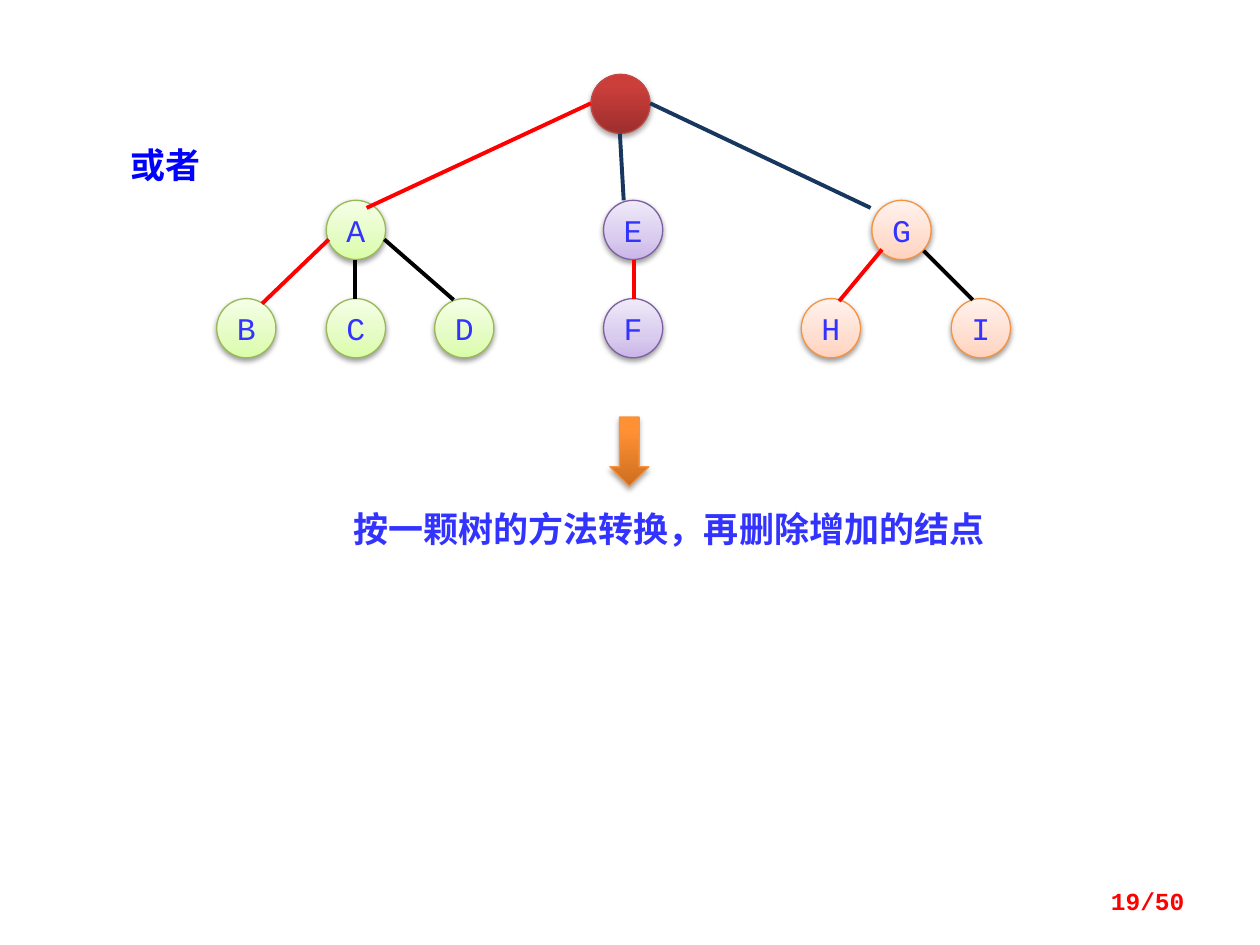
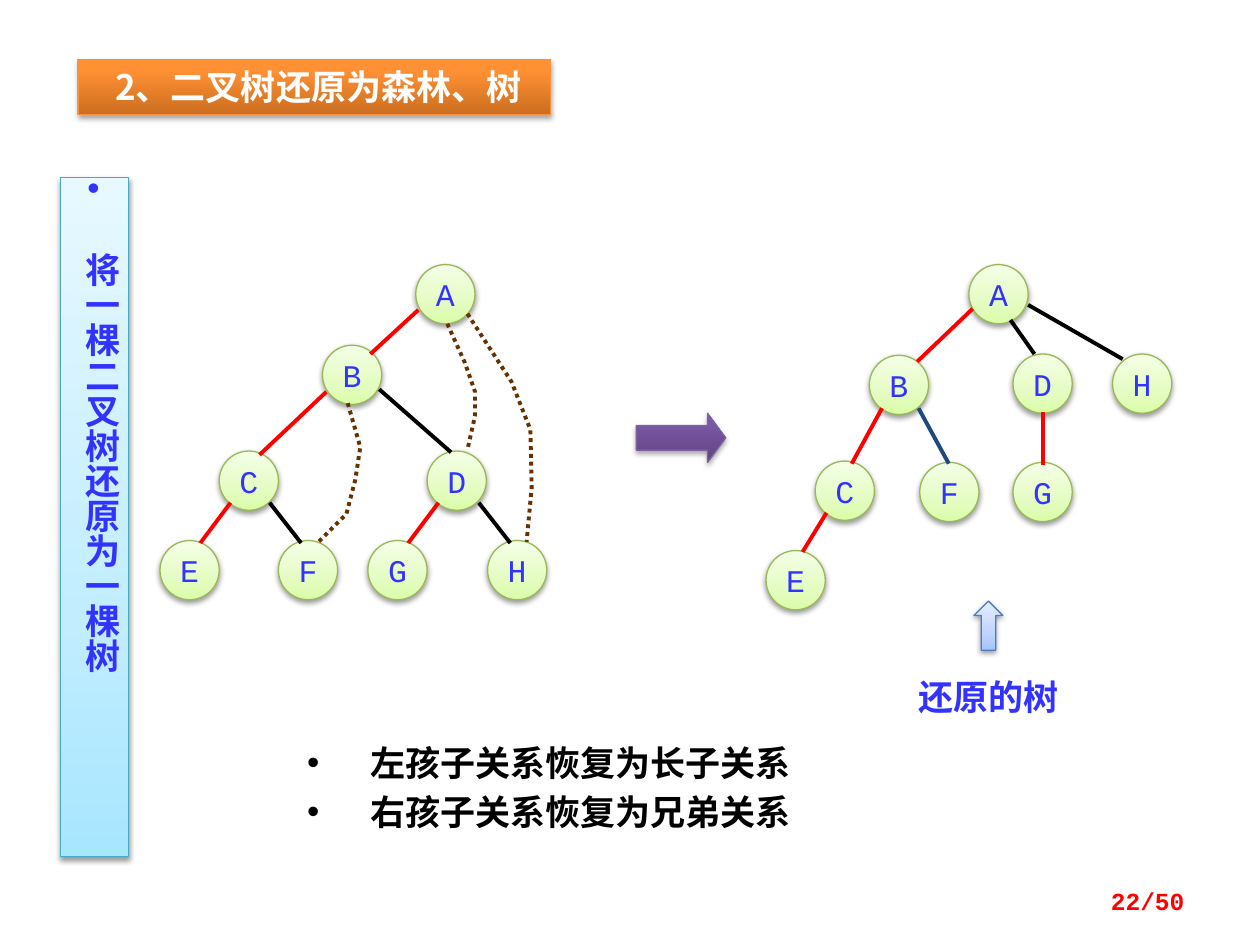
from copy import deepcopy

from lxml import etree
from pptx import Presentation
from pptx.dml.color import RGBColor
from pptx.enum.dml import MSO_LINE
from pptx.enum.shapes import MSO_CONNECTOR, MSO_SHAPE
from pptx.enum.text import MSO_ANCHOR, PP_ALIGN
from pptx.oxml.ns import qn
from pptx.util import Inches, Pt

STRAIGHT = MSO_CONNECTOR.STRAIGHT
OVAL, RECT = MSO_SHAPE.OVAL, MSO_SHAPE.RECTANGLE
DOWN, RIGHT, UP = MSO_SHAPE.DOWN_ARROW, MSO_SHAPE.RIGHT_ARROW, MSO_SHAPE.UP_ARROW
TOP, MIDDLE = MSO_ANCHOR.TOP, MSO_ANCHOR.MIDDLE
ALIGN_LEFT, ALIGN_CENTER, ALIGN_RIGHT = PP_ALIGN.LEFT, PP_ALIGN.CENTER, PP_ALIGN.RIGHT
DOTTED = MSO_LINE.ROUND_DOT

RED = RGBColor(0xFF, 0, 0)
BLACK = RGBColor(0, 0, 0)
WHITE = RGBColor(0xFF, 0xFF, 0xFF)
INDIGO = RGBColor(0x33, 0x33, 0xFF)
BLUE = RGBColor(0, 0, 0xFF)
NAVY = RGBColor(0x17, 0x37, 0x5E)
STEEL = RGBColor(0x1F, 0x49, 0x7D)
BROWN = RGBColor(0x66, 0x33, 0)

MONO, HAN = "Courier New", "Noto Sans CJK SC"
COLUMNS, ROWS = 100, 75
CELL = Inches(0.1)
NODE_SIZE = 4.7


def palette(border, *shades):
    return [RGBColor.from_string(shade) for shade in (border, *shades)]


GREEN_TINT = palette("98B955", "DAFDA7", "E4FCC2", "F5FFE7")
PURPLE_TINT = palette("7D60A0", "C9B5E8", "D8CBEE", "F0EAF9")
PEACH_TINT = palette("F69240", "FFD2BD", "FFDED0", "FFF2ED")
CYAN_TINT = palette("46AAC5", "A7E6FF", "C1EDFF", "E7F8FF")
BLUE_TINT = palette("4B7EBC", "A4C4FF", "BFD4FF", "E6EEFF")
RED_DEEP = palette("BF4C48", "9C2F2D", "CB3E3A", "CE3B37")
ORANGE_DEEP = palette("F69240", "CC6E20", "FF9034", "FF9136")
PURPLE_DEEP = palette("7D60A0", "5F4480", "7B58A6", "7C57A8")
DEEP = (RED_DEEP, ORANGE_DEEP, PURPLE_DEEP)


def write(shape, text, *, size=20, color=INDIGO, font=HAN, bold=True, align=ALIGN_LEFT,
          anchor=TOP, wrap=True, bullet=False, leading=None):
    frame = shape.text_frame
    frame.word_wrap = wrap
    frame.vertical_anchor = anchor
    frame.text = text
    for paragraph in frame.paragraphs:
        paragraph.alignment = align
        if leading:
            paragraph.line_spacing = Pt(leading)
        if bullet:
            props = paragraph._p.get_or_add_pPr()
            props.set("marL", str(Inches(0.5)))
            props.set("indent", str(-Inches(0.5)))
            etree.SubElement(props, qn("a:buFont"), typeface="Arial")
            etree.SubElement(props, qn("a:buChar"), char="•")
        for run in paragraph.runs:
            run.font.size = Pt(size)
            run.font.bold = bold
            run.font.color.rgb = color
            run.font.name = font
            etree.SubElement(run._r.get_or_add_rPr(), qn("a:ea"), typeface=HAN)


class Deck:
    def __init__(self):
        self.file = Presentation()
        self.file.slide_width = COLUMNS * CELL
        self.file.slide_height = ROWS * CELL
        self.slide = None

    def new_slide(self, page):
        self.slide = self.file.slides.add_slide(self.file.slide_layouts[6])
        self.label(page, 71.7, 69.5, 23.3, 4, size=14, color=RED, font=MONO,
                   align=ALIGN_RIGHT, anchor=MIDDLE)

    def place(self, *lengths):
        return [round(length * CELL) for length in lengths]

    def label(self, text, *box, **style):
        write(self.slide.shapes.add_textbox(*self.place(*box)), text, **style)

    def shape(self, kind, *box):
        shape = self.slide.shapes.add_shape(kind, *self.place(*box))
        shape.shadow.inherit = False
        return shape

    def glossy(self, kind, colors, *box):
        shape = self.shape(kind, *box)
        border, *shades = colors
        middle, opacity, distance = (0.8, 35, 1.8) if colors in DEEP else (0.35, 38, 1.6)
        shape.fill.gradient()
        shape.fill.gradient_angle = 90
        properties = shape._element.spPr
        stop_list = properties.find(".//" + qn("a:gsLst"))
        stop_list.append(deepcopy(stop_list[-1]))
        for stop, shade, position in zip(shape.fill.gradient_stops, shades, (0, middle, 1)):
            stop.color.rgb = shade
            stop.position = position
        shape.line.color.rgb = border
        shape.line.width = Pt(0.75)
        shadow = etree.SubElement(
            properties.find(qn("a:effectLst")), qn("a:outerShdw"), blurRad=str(Pt(3.1)),
            dist=str(Pt(distance)), dir="5400000", rotWithShape="0")
        tone = etree.SubElement(shadow, qn("a:srgbClr"), val=str(BLACK))
        etree.SubElement(tone, qn("a:alpha"), val=str(opacity * 1000))
        return shape

    def nodes(self, colors, levels):
        for top, level in levels.items():
            for letter, left in level.items():
                node = self.glossy(OVAL, colors, left, top, NODE_SIZE, NODE_SIZE)
                write(node, letter, size=18, font=MONO, bold=False, align=ALIGN_CENTER,
                      anchor=MIDDLE, wrap=False)

    def edges(self, color, *ends):
        for end in ends:
            edge = self.slide.shapes.add_connector(STRAIGHT, *self.place(*end))
            edge.line.color.rgb = color
            edge.line.width = Pt(2.25)
            etree.SubElement(edge._element.spPr, qn("a:effectLst"))

    def dotted(self, start, *points):
        builder = self.slide.shapes.build_freeform(*self.place(*start))
        builder.add_line_segments([self.place(*point) for point in points], close=False)
        curve = builder.convert_to_shape()
        curve.shadow.inherit = False
        curve.fill.background()
        curve.line.color.rgb = BROWN
        curve.line.width = Pt(2.25)
        curve.line.dash_style = DOTTED


def forest_by_added_root(deck):
    deck.new_slide("19/50")
    parents, children = 15.9, 23.7
    deck.nodes(GREEN_TINT, {parents: {"A": 25.9},
                            children: {"B": 17.2, "C": 25.9, "D": 34.5}})
    deck.nodes(PURPLE_TINT, {parents: {"E": 47.9}, children: {"F": 47.9}})
    deck.nodes(PEACH_TINT, {parents: {"G": 69.2}, children: {"H": 63.6, "I": 75.5}})
    deck.glossy(OVAL, RED_DEEP, 46.9, 5.9, NODE_SIZE, NODE_SIZE)
    deck.edges(RED, (46.9, 8.2, 29.1, 16.5), (26.1, 19, 20.8, 24.1),
               (50.3, 20.6, 50.3, 23.7), (70, 19.8, 66.6, 23.9))
    deck.edges(BLACK, (28.2, 20.6, 28.2, 23.7), (30.5, 19, 36, 23.8),
               (73.3, 19.9, 77.2, 23.8))
    deck.edges(NAVY, (49.2, 10.6, 49.5, 15.9), (51.6, 8.2, 69.1, 16.5))
    deck.label("或者", 9.4, 10.9, 9.4, 4.4, color=BLUE)
    deck.glossy(DOWN, ORANGE_DEEP, 48.4, 33.1, 3.1, 5.5)
    deck.label("按一颗树的方法转换，再删除增加的结点", 18.7, 39.8, 68.8, 4.4,
               font=MONO, align=ALIGN_CENTER)


def binary_tree(deck):
    deck.nodes(GREEN_TINT, {21: {"A": 33}, 27.4: {"B": 25.6}, 35.8: {"C": 17.4, "D": 33.9},
                            42.9: {"E": 12.7, "F": 22.1, "G": 29.2, "H": 38.7}})
    deck.edges(RED, (33.2, 24.6, 29.4, 28.1), (25.9, 31.1, 20.6, 36.1),
               (18.3, 39.9, 15.9, 43.1), (34.8, 39.9, 32.4, 43.1))
    deck.edges(BLACK, (30.1, 30.9, 35.8, 35.9), (21.4, 39.9, 23.9, 43.1),
               (38, 39.9, 40.5, 43.1))
    deck.dotted((35.5, 25.7), (36.9, 28.8), (37.7, 31.1), (37.7, 33), (37.1, 35.7))
    deck.dotted((27.6, 32), (28.6, 35.5), (28.2, 38.1), (27.5, 40.8), (25.3, 43))
    deck.dotted((37.1, 24.9), (40.6, 30.3), (42.1, 34.1), (42.2, 38.7), (41.8, 43))


def restored_tree(deck):
    deck.nodes(GREEN_TINT, {21: {"A": 76.9}, 28.2: {"B": 69}, 28.1: {"D": 80.4, "H": 88.3},
                            36.6: {"C": 64.7}, 36.7: {"F": 73, "G": 80.4},
                            43.7: {"E": 60.8}})
    deck.edges(RED, (77.2, 24.5, 72.8, 28.7), (70, 32.4, 67.6, 36.8),
               (82.8, 32.7, 82.8, 36.9), (65.6, 40.7, 63.7, 43.8))
    deck.edges(BLACK, (81.6, 24.2, 89.1, 28.5), (80.2, 25.4, 82.1, 28.1))
    deck.edges(STEEL, (72.9, 32.4, 75.3, 36.8))
    deck.glossy(UP, BLUE_TINT, 77.3, 47.7, 2.3, 3.9)
    deck.label("还原的树", 71.9, 53.1, 14.6, 4.4)


def binary_tree_to_tree(deck):
    deck.new_slide("22/50")
    heading = deck.glossy(RECT, ORANGE_DEEP, 6.2, 4.7, 37.5, 4.4)
    write(heading, " 2、二叉树还原为森林、树", color=WHITE, align=ALIGN_CENTER)
    task = deck.glossy(RECT, CYAN_TINT, 4.8, 14.1, 5.4, 53.9)
    write(task, "将一棵二叉树还原为一棵树", font=MONO, bullet=True)
    task.text_frame._txBody.bodyPr.set("vert", "eaVert")
    binary_tree(deck)
    conversion = deck.glossy(RIGHT, PURPLE_DEEP, 50.5, 32.8, 7.1, 3.9)
    conversion.adjustments[1] = 0.37
    restored_tree(deck)
    rules = deck.shape(RECT, 23.4, 57.8, 46.6, 8.6)
    rules.fill.solid()
    rules.fill.fore_color.rgb = WHITE
    rules.line.fill.background()
    write(rules, "左孩子关系恢复为长子关系\n右孩子关系恢复为兄弟关系", color=BLACK,
          font=MONO, bullet=True, leading=28)


def main():
    deck = Deck()
    forest_by_added_root(deck)
    binary_tree_to_tree(deck)
    deck.file.save("out.pptx")


if __name__ == "__main__":
    main()
